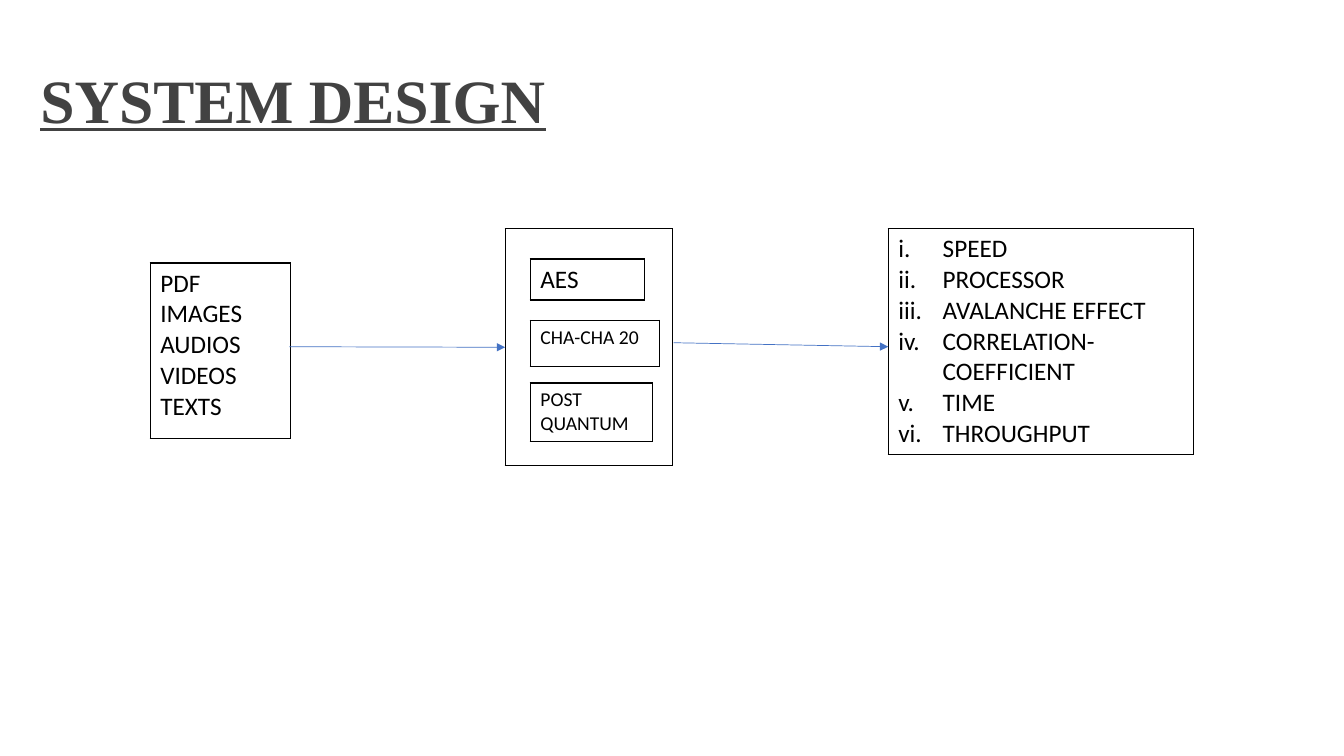
from dataclasses import dataclass
from typing import Any

from pptx import Presentation
from pptx.dml.color import RGBColor
from pptx.enum.shapes import MSO_CONNECTOR as ConnectorType
from pptx.enum.text import MSO_ANCHOR as Anchor, PP_ALIGN as Align
from pptx.oxml.ns import qn
from pptx.shapes.connector import Connector
from pptx.shapes.graphfrm import GraphicFrame
from pptx.util import Inches, Pt
from lxml.etree import SubElement

BLACK = "000000"
TITLE_GRAY = "424242"
ARROW_BLUE = "4472C4"
NUMBER_INDENT = Inches(0.44)


@dataclass(frozen=True)
class Box:
    left: float
    top: float
    width: float
    height: float
    lines: tuple[str, ...] = ()
    size: int = 18
    numbered: bool = False


@dataclass(frozen=True)
class Arrow:
    start: tuple[float, float]
    end: tuple[float, float]


INPUTS = Box(1.49, 2.61, 1.39, 1.74, ("PDF", "IMAGES", "AUDIOS", "VIDEOS", "TEXTS"))
ALGORITHM_PANEL = Box(5.01, 2.27, 1.66, 2.35)
METRICS = Box(
    8.81, 2.27, 3.03, 2.2,
    ("SPEED", "PROCESSOR", "AVALANCHE EFFECT", "CORRELATION-COEFFICIENT", "TIME", "THROUGHPUT"),
    numbered=True,
)
ALGORITHMS = (
    Box(5.26, 3.8, 1.21, 0.58, ("POST QUANTUM",), 14),
    Box(5.26, 3.18, 1.28, 0.46, ("CHA-CHA 20",), 14),
    Box(5.26, 2.57, 1.13, 0.4, ("AES",)),
)
INPUT_ARROW = Arrow((2.87, 3.44), (5.01, 3.44))
METRICS_ARROW = Arrow((6.68, 3.4), (8.81, 3.44))


def color(value: str) -> RGBColor:
    return RGBColor.from_string(value)


def apply(target: Any, values: dict[str, Any]) -> None:
    """Set each named attribute of target."""
    for name, value in values.items():
        setattr(target, name, value)


def format_font(font: Any, name: str, size: int, hex_color: str, **extra: Any) -> None:
    apply(font, {"name": name, "size": Pt(size), **extra})
    font.color.rgb = color(hex_color)


def add_title(slide: Any, text: str) -> None:
    title = slide.shapes.title
    apply(title, {"left": Inches(0.3), "top": Inches(0.49),
                  "width": Inches(12.49), "height": Inches(1.58)})
    apply(title.text_frame, {"text": text, "word_wrap": True, "vertical_anchor": Anchor.TOP,
                             "margin_top": Inches(0.12)})
    paragraph = title.text_frame.paragraphs[0]
    paragraph.alignment = Align.LEFT
    format_font(paragraph.runs[0].font, "Times New Roman", 44, TITLE_GRAY,
                bold=True, underline=True)


def add_borders(cell: Any) -> None:
    properties = cell._tc.get_or_add_tcPr()
    for side in ("lnL", "lnR", "lnT", "lnB"):
        border = SubElement(properties, qn(f"a:{side}"), w=str(Pt(1)))
        fill = SubElement(border, qn("a:solidFill"))
        SubElement(fill, qn("a:srgbClr"), val=BLACK)


def number_paragraph(paragraph: Any) -> None:
    properties = paragraph._p.get_or_add_pPr()
    properties.set("marL", str(NUMBER_INDENT))
    properties.set("indent", str(-NUMBER_INDENT))
    SubElement(properties, qn("a:buFont"), typeface="+mj-lt")
    SubElement(properties, qn("a:buAutoNum"), type="romanLcPeriod")


def add_box(slide: Any, box: Box) -> GraphicFrame:
    """Draw a box as a bordered one-cell table."""
    frame = slide.shapes.add_table(1, 1, Inches(box.left), Inches(box.top),
                                   Inches(box.width), Inches(box.height))
    apply(frame.table, {"first_row": False, "horz_banding": False})
    cell = frame.table.cell(0, 0)
    add_borders(cell)
    cell.fill.background()
    cell.text = "\n".join(box.lines)
    for paragraph in cell.text_frame.paragraphs:
        if box.numbered:
            number_paragraph(paragraph)
        for run in paragraph.runs:
            format_font(run.font, "Calibri", box.size, BLACK)
    return frame


def add_arrow(slide: Any, arrow: Arrow) -> Connector:
    points = [Inches(value) for value in (*arrow.start, *arrow.end)]
    connector = slide.shapes.add_connector(ConnectorType.STRAIGHT, *points)
    connector.line.color.rgb = color(ARROW_BLUE)
    connector.line.width = Pt(0.5)
    SubElement(connector.line._get_or_add_ln(), qn("a:tailEnd"), type="triangle")
    SubElement(connector._element.spPr, qn("a:effectLst"))
    return connector


def main() -> None:
    presentation = Presentation()
    apply(presentation, {"slide_width": Inches(13.33), "slide_height": Inches(7.5)})
    slide = presentation.slides.add_slide(presentation.slide_layouts[5])
    add_title(slide, "SYSTEM DESIGN")
    add_box(slide, INPUTS)
    panel = add_box(slide, ALGORITHM_PANEL)
    for box in (METRICS, *ALGORITHMS):
        add_box(slide, box)
    add_arrow(slide, INPUT_ARROW).end_connect(panel, 1)
    add_arrow(slide, METRICS_ARROW)
    presentation.save("out.pptx")


if __name__ == "__main__":
    main()
